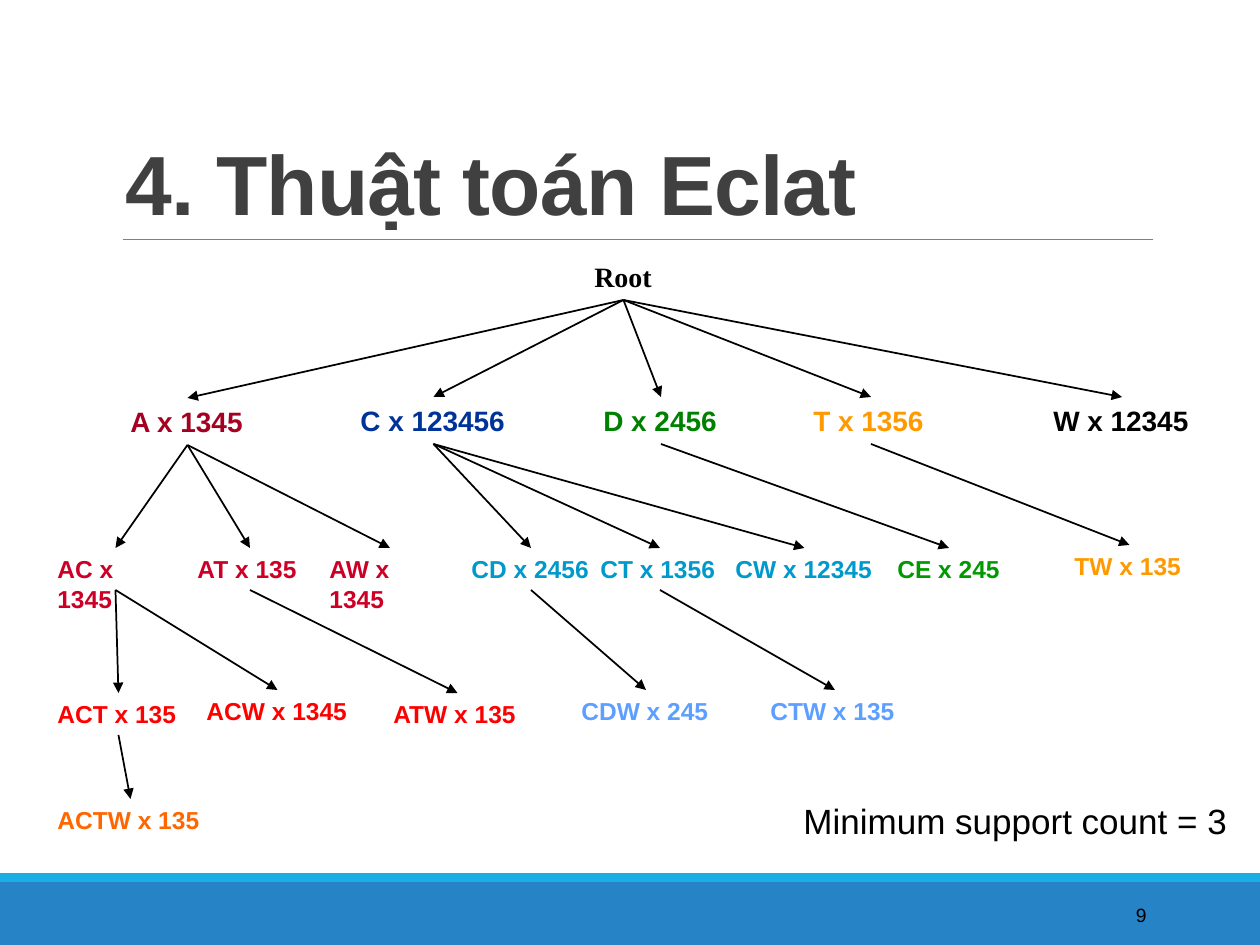
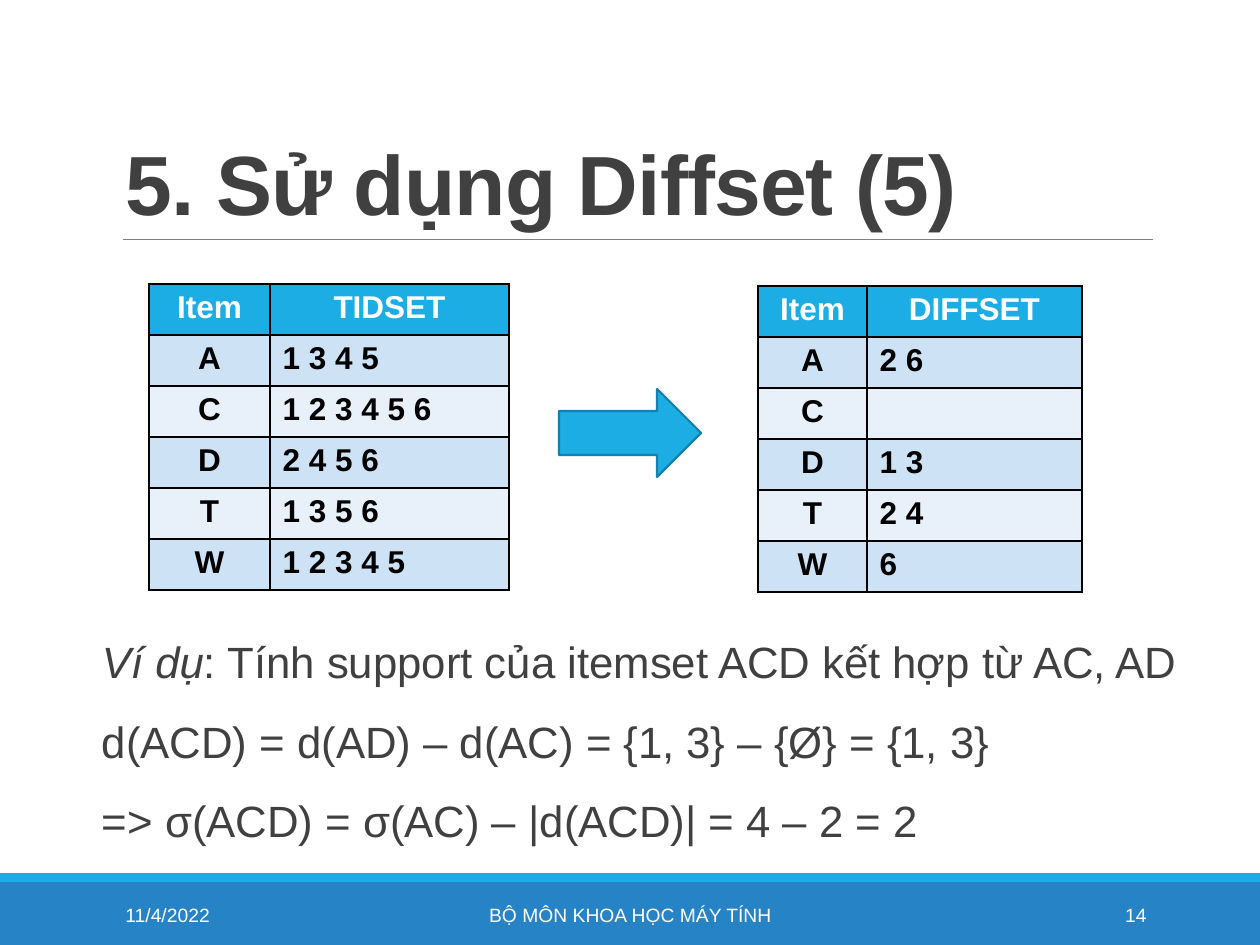
"""Build two slides on frequent itemsets: the Eclat search tree and the Diffset tables."""
from pptx import Presentation
from pptx.dml.color import RGBColor
from pptx.enum.shapes import MSO_CONNECTOR, MSO_SHAPE
from pptx.enum.text import MSO_ANCHOR as Anchor, MSO_AUTO_SIZE as AutoSize, PP_ALIGN as Align
from pptx.oxml.ns import qn
from pptx.util import Emu, Pt
from lxml.etree import SubElement

EMU_PER_PX = 914400 / 126
WIDTH, HEIGHT = 1260, 945
FONT = "Arial"
COLORS = {
    "black": "000000", "white": "FFFFFF", "text": "404040", "rule": "808080",
    "band": "2683C6", "accent": "1CADE4", "arrow_edge": "1580A9",
    "row_dark": "CDE3F5", "row_light": "E8F1FA",
    "maroon": "A50021", "navy": "003399", "green": "008000", "orange": "FF9900",
    "crimson": "CC0027", "teal": "0099CC", "leaf": "009900", "red": "FF0000",
    "sky": "5D9FFF", "flame": "FF6600",
}
ROOT = "Root"
NODE_HEIGHT = {16: 47, 14: 42}
TREE = [
    (16, [(ROOT, 582, 253, 83, "black")]),
    (16, [
        ("A x 1345", 118, 398, 139, "maroon"),
        ("C x 123456", 348, 397, 171, "navy"),
        ("D x 2456", 591, 397, 140, "green"),
        ("T x 1356", 801, 397, 140, "orange"),
        ("W x 12345", 1041, 397, 162, "black"),
    ]),
    (14, [
        ("AC x 1345", 45, 548, 141, "crimson"),
        ("AT x 135", 185, 548, 130, "crimson"),
        ("AW x 1345", 317, 548, 146, "crimson"),
        ("CD x 2456", 459, 548, 144, "teal"),
        ("CT x 1356", 588, 548, 144, "teal"),
        ("CW x 12345", 723, 548, 163, "teal"),
        ("CE x 245", 885, 548, 128, "leaf"),
        ("TW x 135", 1062, 545, 135, "orange"),
    ]),
    (14, [
        ("ACT x 135", 45, 693, 147, "red"),
        ("ACW x 1345", 194, 690, 167, "red"),
        ("ATW x 135", 381, 693, 153, "red"),
        ("CDW x 245", 569, 690, 154, "sky"),
        ("CTW x 135", 758, 690, 154, "sky"),
    ]),
    (14, [("ACTW x 135", 45, 799, 171, "flame")]),
]
WRAPPED = {"AC x 1345", "AW x 1345"}
IRREGULAR_PARENTS = {"CE": "D"}
TIDSETS = [("Item", "TIDSET"), ("A", "1 3 4 5"), ("C", "1 2 3 4 5 6"),
           ("D", "2 4 5 6"), ("T", "1 3 5 6"), ("W", "1 2 3 4 5")]
DIFFSETS = [("Item", "DIFFSET"), ("A", "2 6"), ("C", ""),
            ("D", "1 3"), ("T", "2 4"), ("W", "6")]
EXAMPLE = [
    [("Ví dụ", True), (": Tính support của itemset ACD kết hợp từ AC, AD", False)],
    [("d(ACD) = d(AD) – d(AC) = {1, 3} – {Ø} = {1, 3}", False)],
    [("=> σ(ACD) = σ(AC) – |d(ACD)| = 4 – 2 = 2", False)],
]


def px(*lengths):
    """Turn pixel lengths into EMU."""
    return [Emu(round(length * EMU_PER_PX)) for length in lengths]


def rgb(name):
    """Look up a named colour."""
    return RGBColor.from_string(COLORS[name])


def style_font(font, size, color, bold=False, name=FONT):
    """Set the look of a paragraph font."""
    font.name, font.size, font.bold = name, Pt(size), bold
    font.color.rgb = rgb(color)


def place(shape, left, top, width, height):
    """Move and size a shape in pixels."""
    shape.left, shape.top, shape.width, shape.height = px(left, top, width, height)


def add_text(page, frame, text, size, color, bold=False, name=FONT,
             align=Align.LEFT, anchor=Anchor.TOP, wrap=True):
    """Add a one-paragraph text box."""
    box = page.shapes.add_textbox(*px(*frame))
    box.text_frame.word_wrap = wrap
    box.text_frame.vertical_anchor = anchor
    para = box.text_frame.paragraphs[0]
    para.text, para.alignment = text, align
    style_font(para.font, size, color, bold, name)
    return box


def add_block(page, kind, frame, fill, edge=None):
    """Add a filled preset shape, outlined only when an edge colour is given."""
    block = page.shapes.add_shape(kind, *px(*frame))
    block.shadow.inherit = False
    block.fill.solid()
    block.fill.fore_color.rgb = rgb(fill)
    if edge:
        block.line.color.rgb = rgb(edge)
        block.line.width = Pt(1.25)
    else:
        block.line.fill.background()


def add_line(page, ends, color, weight):
    """Add a straight line without shadow."""
    line = page.shapes.add_connector(MSO_CONNECTOR.STRAIGHT, *px(*ends))
    line.line.color.rgb = rgb(color)
    line.line.width = Pt(weight)
    SubElement(line._element.spPr, qn("a:effectLst"))
    return line


def add_branch(page, parent, child):
    """Join the bottom of a parent node to the top of its child with an arrow."""
    branch = add_line(page, (0, 0, 0, 0), "black", 1)
    branch.begin_connect(parent, 2)
    branch.end_connect(child, 0)
    SubElement(branch.line._get_or_add_ln(), qn("a:tailEnd"), type="triangle")


def add_footer(page, frame, text, align, color="white"):
    """Add a small text on the bottom band."""
    add_text(page, frame, text, 11, color, align=align, anchor=Anchor.MIDDLE)


def add_page(deck, layout, title, number, number_color):
    """Add a slide with the shared bands, title rule, title and page number."""
    page = deck.slides.add_slide(deck.slide_layouts.get_by_name(layout))
    add_block(page, MSO_SHAPE.RECTANGLE, (0, 882, WIDTH, 63), "band")
    add_block(page, MSO_SHAPE.RECTANGLE, (0, 873, WIDTH, 9), "accent")
    add_line(page, (123, 239, 1153, 239), "rule", 0.5)
    heading = page.shapes.title
    place(heading, 113, 39, 1040, 200)
    frame = heading.text_frame
    frame.text = title
    frame.auto_size, frame.vertical_anchor = AutoSize.NONE, Anchor.BOTTOM
    para = frame.paragraphs[0]
    para.alignment, para.line_spacing = Align.LEFT, 0.85
    style_font(para.font, 48, "text", bold=True)
    para.runs[0].font._element.set("spc", "-50")
    add_footer(page, (1023, 890, 136, 50), number, Align.RIGHT, number_color)
    return page


def add_tree(page):
    """Draw the itemset tree, each node hanging from its prefix."""
    nodes = {}
    for size, level in TREE:
        for label, left, top, width, color in level:
            key = label.split()[0]
            name = "Times New Roman" if key == ROOT else FONT
            nodes[key] = add_text(page, (left, top, width, NODE_HEIGHT[size]), label, size,
                                  color, bold=True, name=name, wrap=label in WRAPPED)
    for key, node in nodes.items():
        if key != ROOT:
            parent = IRREGULAR_PARENTS.get(key, key[:-1] or ROOT)
            add_branch(page, nodes[parent], node)


def add_borders(cell):
    """Give a table cell thin black borders, placed before its fill."""
    props = cell._tc.get_or_add_tcPr()
    for index, side in enumerate(("lnL", "lnR", "lnT", "lnB")):
        border = SubElement(props, qn(f"a:{side}"), w=str(Pt(1)))
        fill = SubElement(border, qn("a:solidFill"))
        SubElement(fill, qn("a:srgbClr"), val=COLORS["black"])
        props.insert(index, border)


def add_item_table(page, left, top, widths, rows):
    """Add a banded table of items and their transaction sets."""
    row_height = 51
    frame = px(left, top, sum(widths), row_height * len(rows))
    table = page.shapes.add_table(len(rows), len(widths), *frame).table
    for column, width in zip(table.columns, px(*widths)):
        column.width = width
    for i, row in enumerate(rows):
        table.rows[i].height = px(row_height)[0]
        fill = "accent" if i == 0 else ("row_light", "row_dark")[i % 2]
        for j, text in enumerate(row):
            cell = table.cell(i, j)
            cell.text = text
            cell.fill.solid()
            cell.fill.fore_color.rgb = rgb(fill)
            add_borders(cell)
            para = cell.text_frame.paragraphs[0]
            para.alignment = Align.CENTER if i == 0 or j == 0 else Align.LEFT
            style_font(para.font, 18, "black" if i else "white", bold=True)


def fill_body(body, lines):
    """Fill the body placeholder with unbulleted lines of (text, italic) spans."""
    place(body, 102, 626, 1085, 263)
    frame = body.text_frame
    frame.auto_size = AutoSize.NONE
    frame.margin_left = frame.margin_right = 0
    for i, line in enumerate(lines):
        para = frame.add_paragraph() if i else frame.paragraphs[0]
        para.space_before, para.space_after, para.line_spacing = Pt(12), Pt(2), 1.05
        props = para._p.get_or_add_pPr()
        props.set("marL", "0")
        props.set("indent", "0")
        SubElement(props, qn("a:buNone"))
        style_font(para.font, 25, "text")
        for text, italic in line:
            span = para.add_run()
            span.text, span.font.italic = text, italic


def build_eclat(deck):
    """Build the slide with the Eclat search tree."""
    page = add_page(deck, "Title Only", "4. Thuật toán Eclat", "9", "black")
    add_line(page, (664, 460, 664, 460), "black", 3)
    add_tree(page)
    add_text(page, (791, 793, 452, 55), "Minimum support count = 3", 20, "black", wrap=False)


def build_diffset(deck):
    """Build the slide that turns tidsets into diffsets."""
    page = add_page(deck, "Title and Content", "5. Sử dụng Diffset (5)", "14", "white")
    add_footer(page, (113, 890, 256, 50), "11/4/2022", Align.LEFT)
    add_footer(page, (381, 890, 499, 50), "BỘ MÔN KHOA HỌC MÁY TÍNH", Align.CENTER)
    add_item_table(page, 149, 284, (121, 239), TIDSETS)
    add_item_table(page, 758, 286, (109, 215), DIFFSETS)
    add_block(page, MSO_SHAPE.RIGHT_ARROW, (559, 389, 142, 88), "accent", "arrow_edge")
    fill_body(page.placeholders[1], EXAMPLE)


def main():
    """Build and save the deck."""
    deck = Presentation()
    deck.slide_width, deck.slide_height = px(WIDTH, HEIGHT)
    build_eclat(deck)
    build_diffset(deck)
    deck.save("out.pptx")


if __name__ == "__main__":
    main()
